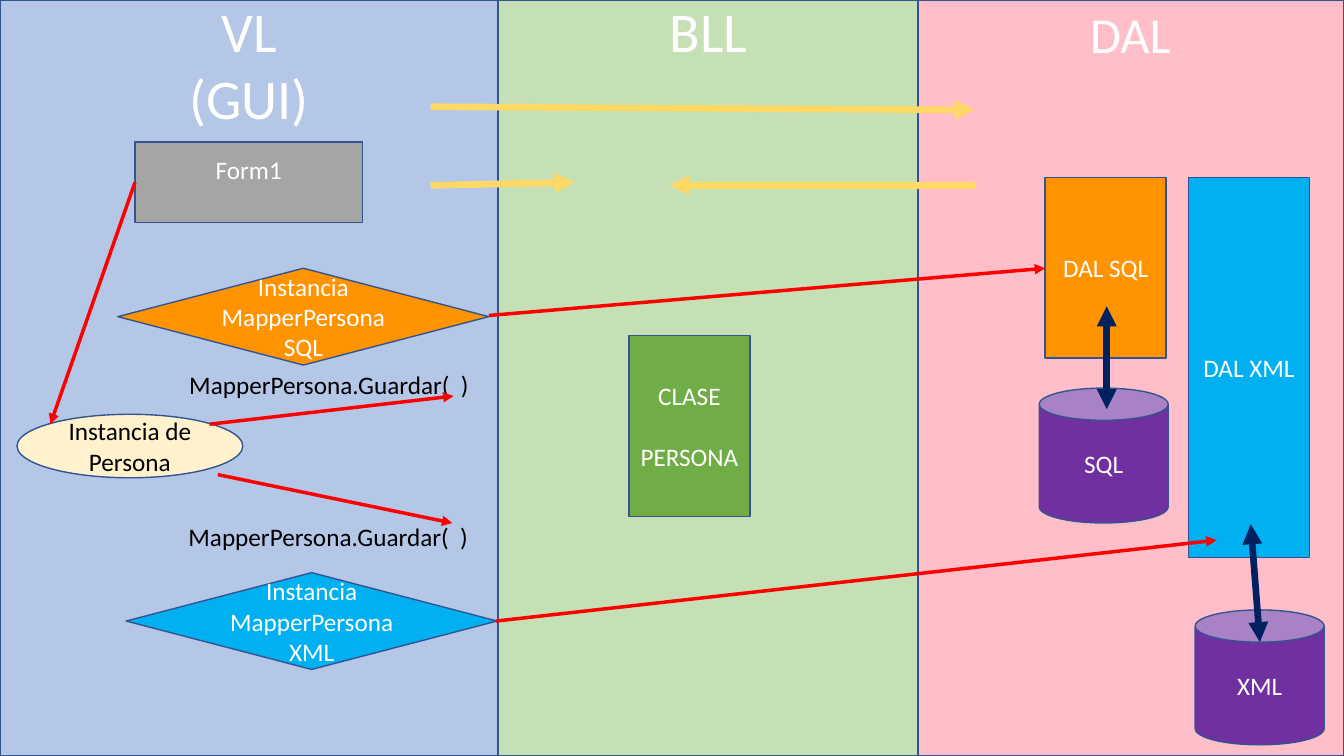
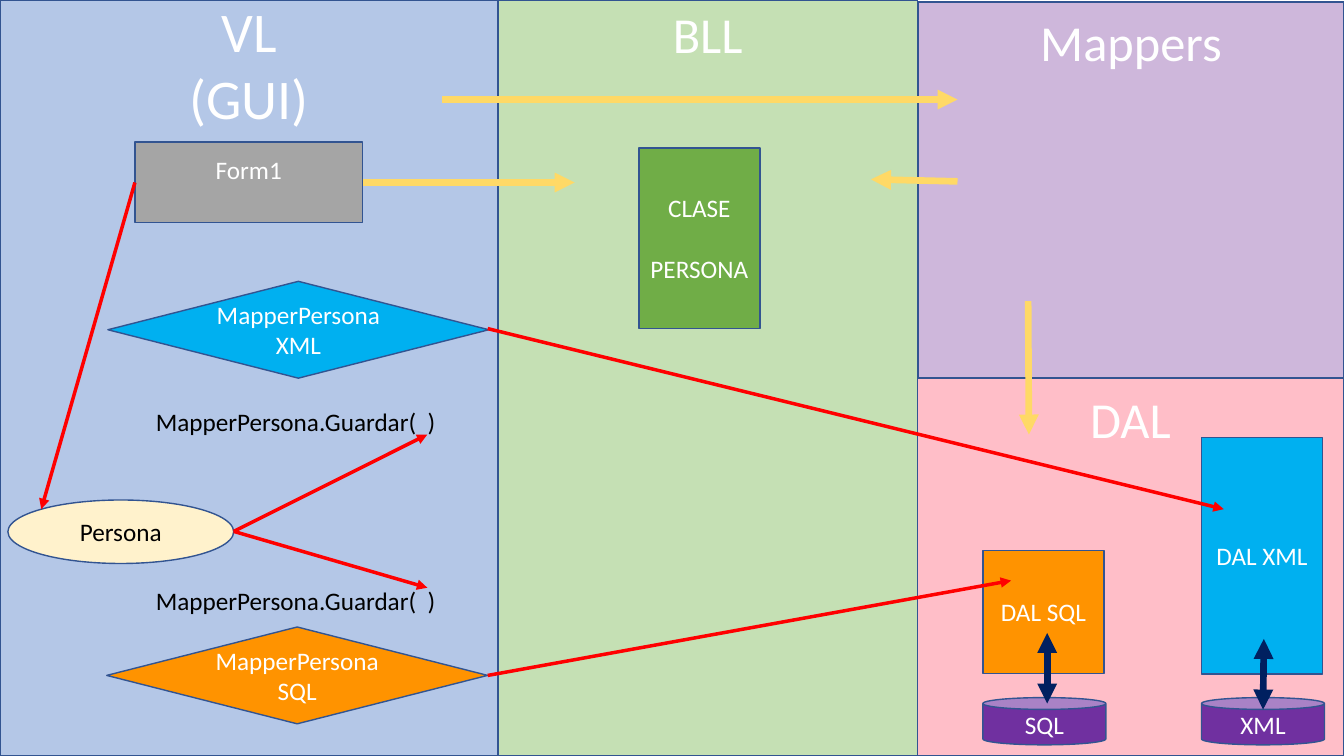
from lxml.etree import SubElement
from pptx import Presentation
from pptx.dml.color import RGBColor
from pptx.enum.shapes import MSO_CONNECTOR as Connector, MSO_SHAPE as Preset
from pptx.enum.text import MSO_ANCHOR as Anchor, MSO_AUTO_SIZE as AutoSize, PP_ALIGN as Align
from pptx.oxml.ns import qn
from pptx.util import Cm, Pt

WHITE, BLACK = "FFFFFF", "000000"
BLUE, GREEN, PINK, LILAC = "B4C7E7", "C5E0B4", "FFBEC8", "CEB7DB"
ORANGE, CYAN, PURPLE, LEAF = "FF9300", "00B0F0", "7030A0", "70AD47"
GRAY, CREAM, OUTLINE = "A5A5A5", "FFF2CC", "325491"
CALL = "FFD966", 4.75, False
LINK = "FF0000", 2.5, False
STORAGE = "002060", 4.75, True


def color(value):
    return RGBColor.from_string(value)


def set_format(target, values):
    for name, value in values.items():
        setattr(target, name, value)


class Diagram:
    font = "Calibri"
    size = 18
    outline = 1

    def __init__(self, presentation):
        self.presentation = presentation
        self.slide = None

    def new_slide(self):
        layout = self.presentation.slide_layouts[6]
        self.slide = self.presentation.slides.add_slide(layout)

    def fill_text(self, shape, lines, ink, size, align, gap=0, **frame_format):
        frame = shape.text_frame
        set_format(frame, {"word_wrap": True, **frame_format})
        for index, line in enumerate(lines):
            paragraph = frame.add_paragraph() if index else frame.paragraphs[0]
            paragraph.text = line
            set_format(paragraph, {"alignment": align, "space_before": Pt(gap if index else 0)})
            for run in paragraph.runs:
                set_format(run.font, {"name": self.font, "size": Pt(size)})
                run.font.color.rgb = color(ink)

    def box(self, preset, place, fill, lines, ink=WHITE, size=None, gap=0, **frame_format):
        shape = self.slide.shapes.add_shape(preset, *map(Cm, place))
        shape.shadow.inherit = False
        shape.fill.solid()
        shape.fill.fore_color.rgb = color(fill)
        shape.line.color.rgb = color(OUTLINE)
        shape.line.width = Pt(self.outline)
        frame_format = {"vertical_anchor": Anchor.MIDDLE, **frame_format}
        self.fill_text(shape, lines, ink, size or self.size, Align.CENTER, gap, **frame_format)

    def layer(self, place, fill, lines, size, inset):
        self.box(Preset.RECTANGLE, place, fill, lines, size=size,
                 vertical_anchor=Anchor.TOP, margin_top=Cm(inset))

    def view_layer(self):
        self.layer((0, 0, 12.55, 19.05), BLUE, ["VL", "(GUI)"], 40, -0.08)

    def form(self):
        self.box(Preset.RECTANGLE, (3.4, 3.58, 5.74, 2.03), GRAY, ["Form1"],
                 vertical_anchor=Anchor.TOP, margin_top=Cm(0.3))

    def person_class(self, left, top):
        self.box(Preset.RECTANGLE, (left, top, 3.05, 4.55), LEAF, ["CLASE", "PERSONA"], gap=22)

    def person(self, left, top, text):
        self.box(Preset.OVAL, (left, top, 5.69, 1.6), CREAM, [text], BLACK)

    def mapper(self, left, top, width, fill, *lines):
        self.box(Preset.DIAMOND, (left, top, width, 2.44), fill, lines)

    def data_access(self, left, top, height, fill, text):
        self.box(Preset.RECTANGLE, (left, top, 3.05, height), fill, [text])

    def database(self, left, top, width, height, text):
        self.box(Preset.CAN, (left, top, width, height), PURPLE, [text])

    def save_call(self, left, top):
        shape = self.slide.shapes.add_textbox(*map(Cm, (left, top, 7.65, 1.02)))
        self.fill_text(shape, ["MapperPersona.Guardar(  )"], BLACK, self.size, Align.LEFT,
                       word_wrap=False, auto_size=AutoSize.SHAPE_TO_FIT_TEXT)

    def arrows(self, style, *routes):
        ink, width, both_ends = style
        for route in routes:
            connector = self.slide.shapes.add_connector(Connector.STRAIGHT, *map(Cm, route))
            connector.line.color.rgb = color(ink)
            connector.line.width = Pt(width)
            properties = connector._element.spPr
            line = properties.find(qn("a:ln"))
            for end in ("a:headEnd", "a:tailEnd") if both_ends else ("a:tailEnd",):
                SubElement(line, qn(end), type="triangle")
            SubElement(properties, qn("a:effectLst"))


def direct_access(diagram):
    diagram.new_slide()
    diagram.layer((23.11, 0, 10.76, 19.05), PINK, ["DAL"], 36, 0.08)
    diagram.view_layer()
    diagram.layer((12.57, 0, 10.57, 19.05), GREEN, ["BLL"], 40, -0.08)
    diagram.form()
    diagram.person(0.43, 10.44, "Instancia de Persona")
    diagram.person_class(15.85, 8.46)
    diagram.mapper(2.97, 6.76, 9.35, ORANGE, "Instancia", "MapperPersona SQL")
    diagram.mapper(3.18, 14.43, 9.35, CYAN, "Instancia MapperPersona\vXML")
    diagram.save_call(4.52, 9.19)
    diagram.save_call(4.5, 13)
    diagram.data_access(26.34, 4.47, 4.55, ORANGE, "DAL SQL")
    diagram.data_access(29.95, 4.47, 9.58, CYAN, "DAL XML")
    diagram.database(26.19, 9.78, 3.25, 3.4, "SQL")
    diagram.database(30.12, 15.37, 3.25, 3.4, "XML")
    diagram.arrows(STORAGE, (27.89, 10.31, 27.89, 7.72), (31.75, 16.18, 31.52, 13.21))
    diagram.arrows(CALL, (10.85, 4.67, 14.48, 4.6), (24.56, 4.67, 16.87, 4.67),
                   (10.85, 2.69, 24.56, 2.77))
    diagram.arrows(LINK, (3.4, 4.6, 1.27, 10.69), (5.28, 10.69, 11.43, 9.98),
                   (5.49, 11.96, 11.4, 13.18), (12.5, 15.65, 30.66, 13.61),
                   (12.32, 7.95, 26.34, 6.76))


def mapper_access(diagram):
    diagram.new_slide()
    diagram.layer((23.14, 0.05, 10.73, 9.47), LILAC, ["Mappers"], 36, 0.24)
    diagram.layer((23.11, 9.53, 10.76, 9.52), PINK, ["DAL"], 36, 0.24)
    diagram.view_layer()
    diagram.layer((12.55, 0, 10.57, 19.05), GREEN, ["BLL"], 36, 0.08)
    diagram.form()
    diagram.person(0.2, 12.6, "Persona")
    diagram.person_class(16.1, 3.73)
    diagram.mapper(2.72, 7.09, 9.6, CYAN, "MapperPersona\vXML")
    diagram.mapper(2.69, 15.8, 9.6, ORANGE, "MapperPersona SQL")
    diagram.save_call(3.68, 10.11)
    diagram.save_call(3.68, 14.63)
    diagram.data_access(24.77, 13.87, 3.1, ORANGE, "DAL SQL")
    diagram.data_access(30.28, 11.02, 5.97, CYAN, "DAL XML")
    diagram.database(24.77, 17.58, 3.1, 1.19, "SQL")
    diagram.database(30.28, 17.58, 3.1, 1.19, "XML")
    diagram.arrows(STORAGE, (26.39, 17.73, 26.39, 15.95), (31.83, 17.88, 31.85, 16.1))
    diagram.arrows(CALL, (9.14, 4.6, 14.48, 4.6), (24.13, 4.57, 21.95, 4.52),
                   (11.15, 2.51, 24.13, 2.51), (25.91, 7.59, 25.93, 10.95))
    diagram.arrows(LINK, (3.4, 4.6, 1.04, 12.83), (5.89, 13.39, 10.77, 10.95),
                   (5.89, 13.39, 10.77, 14.81), (12.29, 8.28, 30.84, 12.83),
                   (12.29, 17.02, 25.48, 14.63))


presentation = Presentation()
set_format(presentation, {"slide_width": Cm(33.87), "slide_height": Cm(19.05)})
diagram = Diagram(presentation)
direct_access(diagram)
mapper_access(diagram)
presentation.save("out.pptx")
